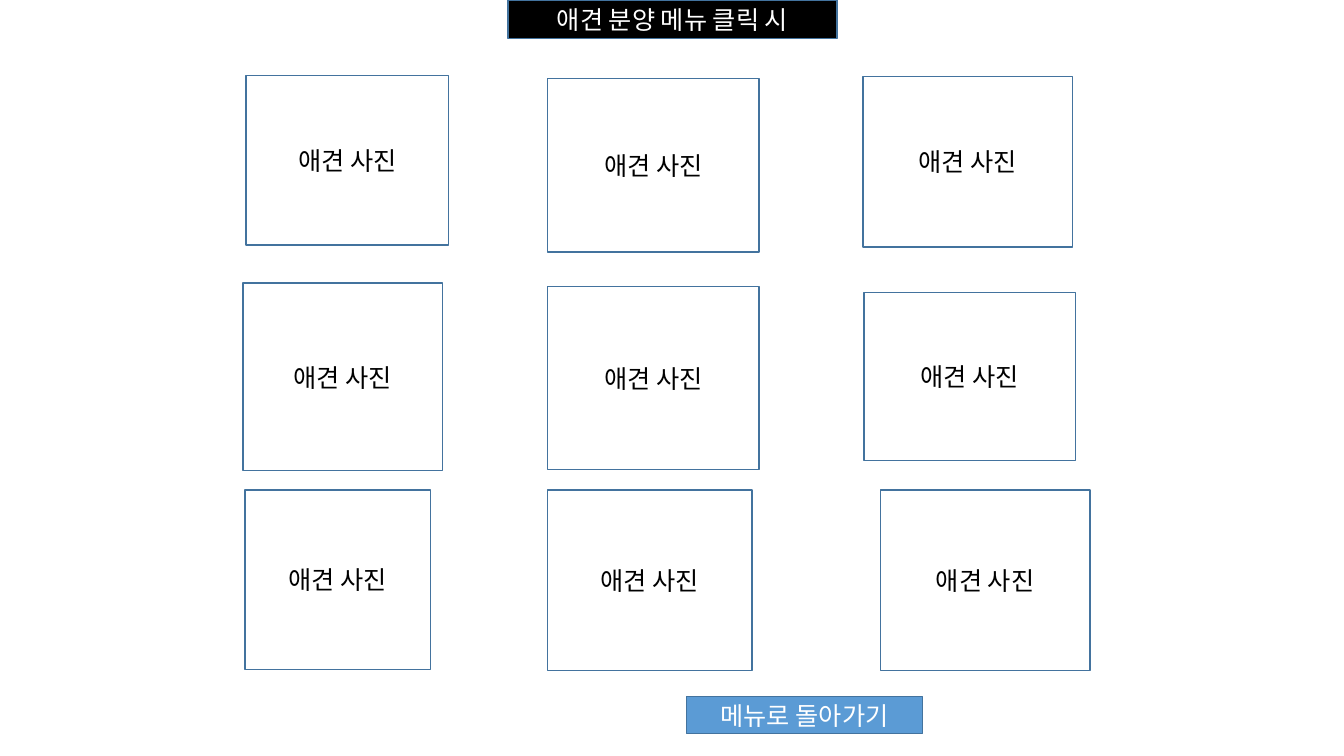
"""Builds the dog adoption menu wireframe: a title bar, a photo grid and a return button."""
import pptx
import pptx.dml.color
import pptx.enum.shapes
import pptx.enum.text
import pptx.oxml.ns
import pptx.util
import lxml.etree

THEME = {
    "font": "Noto Sans CJK KR",
    "size": pptx.util.Pt(18),
    "line_width": pptx.util.Pt(1),
    "line": "43739E",
    "black": "000000",
    "white": "FFFFFF",
    "button": "5B9BD5",
}
GRID_LEFT, GRID_TOP = 2.43, 0.76
COLUMN_STEP, ROW_STEP = 3, 2.05

# Each photo: shift from its grid point (x, y), then width and height.
PHOTO_ROWS = [
    [(0.01, -0.01, 2.01, 1.68), (0, 0.02, 2.1, 1.72), (0.13, 0, 2.08, 1.69)],
    [(-0.02, 0, 1.98, 1.86), (0, 0.03, 2.1, 1.82), (0.14, 0.09, 2.1, 1.67)],
    [(0, 0, 1.84, 1.78), (0, 0, 2.03, 1.79), (0.3, 0, 2.08, 1.79)],
]


def color(name):
    return pptx.dml.color.RGBColor.from_string(THEME[name])


def format_box(shape, box, text, fill, text_color):
    for name, length in zip(("left", "top", "width", "height"), box):
        setattr(shape, name, pptx.util.Inches(length))
    shape.fill.solid()
    shape.fill.fore_color.rgb = color(fill)
    shape.line.color.rgb = color("line")
    shape.line.width = THEME["line_width"]
    frame_format = {
        "text": text,
        "word_wrap": True,
        "auto_size": pptx.enum.text.MSO_AUTO_SIZE.NONE,
        "vertical_anchor": pptx.enum.text.MSO_ANCHOR.MIDDLE,
    }
    for name, value in frame_format.items():
        setattr(shape.text_frame, name, value)
    paragraph = shape.text_frame.paragraphs[0]
    paragraph.alignment = pptx.enum.text.PP_ALIGN.CENTER
    font = paragraph.runs[0].font
    for name, value in {"name": THEME["font"], "size": THEME["size"]}.items():
        setattr(font, name, value)
    font.color.rgb = color(text_color)
    properties = paragraph.runs[0]._r.get_or_add_rPr()
    east_asian = lxml.etree.SubElement(properties, pptx.oxml.ns.qn("a:ea"))
    east_asian.set("typeface", THEME["font"])


presentation = pptx.Presentation()
presentation.slide_width = pptx.util.Inches(13.33)
presentation.slide_height = pptx.util.Inches(7.5)
slide = presentation.slides.add_slide(presentation.slide_layouts.get_by_name("Title Only"))
format_box(slide.shapes.title, (5.04, 0, 3.26, 0.38), "애견 분양 메뉴 클릭 시", "black", "white")

boxes = []
for row, photos in enumerate(PHOTO_ROWS):
    for column, (shift_x, shift_y, width, height) in enumerate(photos):
        left = GRID_LEFT + column * COLUMN_STEP + shift_x
        top = GRID_TOP + row * ROW_STEP + shift_y
        boxes.append(((left, top, width, height), "애견 사진", "white", "black"))
boxes.append(((6.81, 6.91, 2.34, 0.37), "메뉴로 돌아가기", "button", "white"))

for box, text, fill, text_color in boxes:
    shape = slide.shapes.add_shape(pptx.enum.shapes.MSO_SHAPE.RECTANGLE, 0, 0, 0, 0)
    shape.shadow.inherit = False
    format_box(shape, box, text, fill, text_color)

presentation.save("out.pptx")
